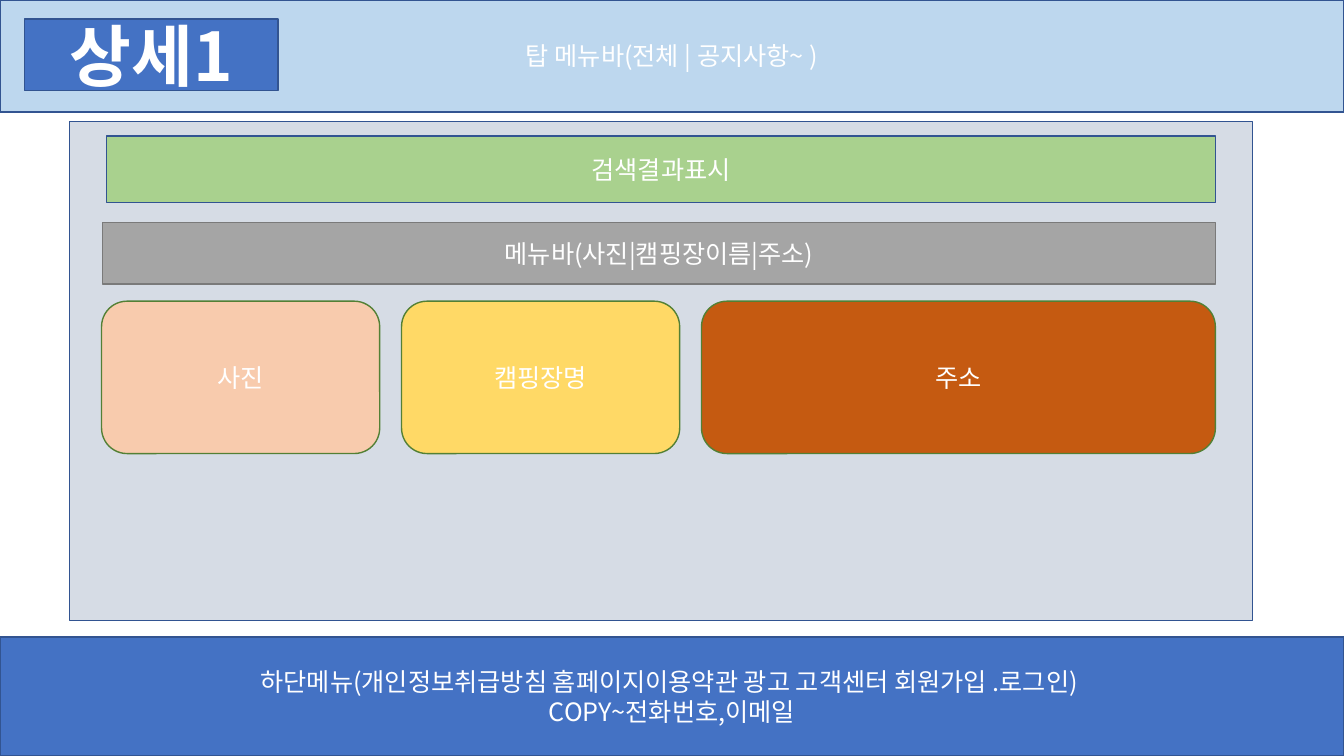
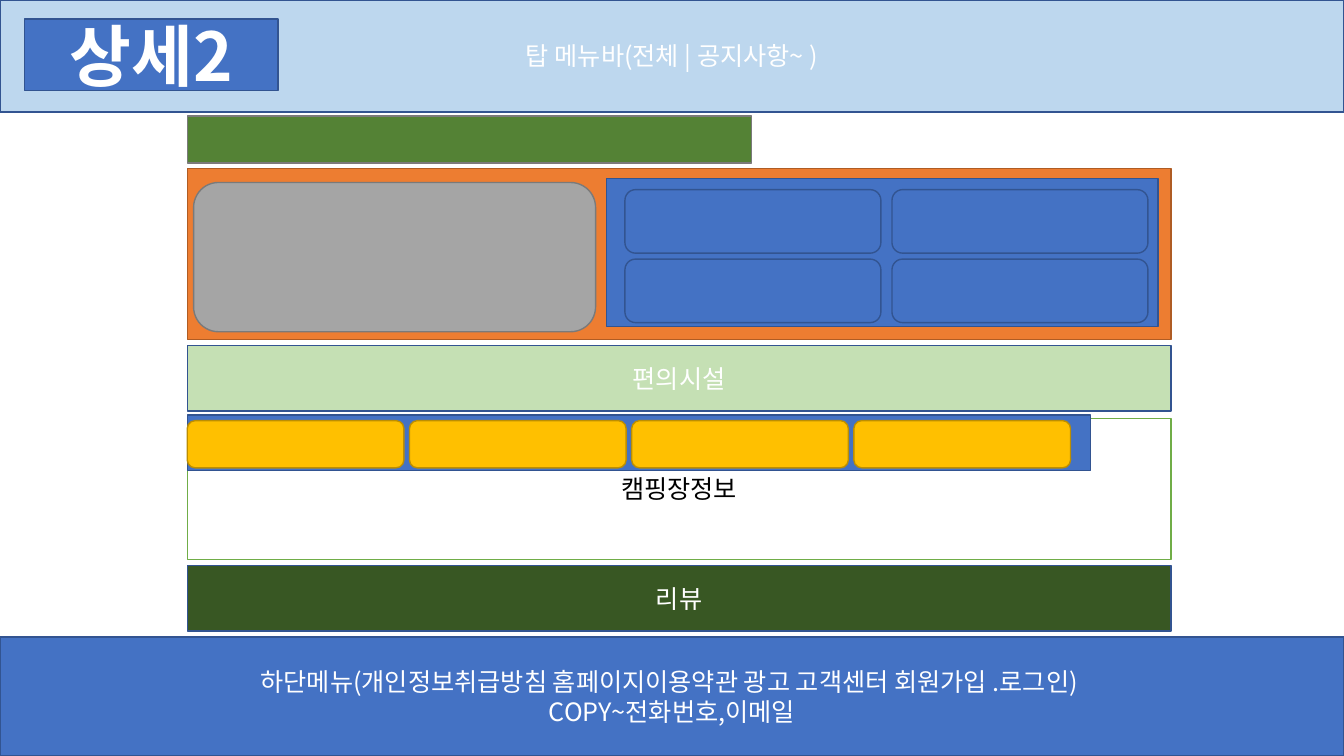
from lxml.etree import SubElement
from pptx import Presentation
from pptx.dml.color import RGBColor
from pptx.enum.shapes import MSO_SHAPE
from pptx.enum.text import MSO_ANCHOR, MSO_AUTO_SIZE, PP_ALIGN
from pptx.oxml.ns import qn
from pptx.util import Cm, Pt

COLORS = {
    "white": "FFFFFF", "black": "000000", "blue": "4472C4", "navy": "325491",
    "sky": "BDD7EE", "mist": "D6DCE5", "gray": "A5A5A5", "dark_gray": "7A7A7A",
    "green": "A9D18E", "pale_green": "C5E0B4", "leaf": "70AD47",
    "moss": "548235", "forest": "385723", "card_line": "538035",
    "peach": "F8CBAD", "yellow": "FFD966", "rust": "C55A11",
    "orange": "ED7D31", "brown": "AF5C24", "gold": "FFC000", "ochre": "BD8E00",
}
FONT = "Noto Sans CJK KR"
BODY = {"name": FONT, "size": Pt(18), "bold": False}
TITLE = {"name": FONT, "size": Pt(48), "bold": True}
FRAME = {"word_wrap": True, "auto_size": MSO_AUTO_SIZE.NONE,
         "vertical_anchor": MSO_ANCHOR.MIDDLE}
SLIDE_W, SLIDE_H = 33.87, 19.05
RECT, ROUND = MSO_SHAPE.RECTANGLE, MSO_SHAPE.ROUNDED_RECTANGLE

TOP_MENU = "탑 메뉴바(전체 | 공지사항~ )"
FOOTER = ("하단메뉴(개인정보취급방침 홈페이지이용약관 광고 고객센터 회원가입 .로그인) ",
          "COPY~전화번호,이메일")


def rgb(name):
    return RGBColor.from_string(COLORS[name])


def set_attrs(obj, values):
    for key, value in values.items():
        setattr(obj, key, value)


def paint(sp, fill, line):
    sp.fill.solid()
    sp.fill.fore_color.rgb = rgb(fill)
    sp.line.color.rgb = rgb(line)
    sp.line.width = Pt(1)


def write(sp, lines, fmt=BODY, color="white"):
    tf = sp.text_frame
    set_attrs(tf, FRAME)
    for i, text in enumerate(lines):
        p = tf.add_paragraph() if i else tf.paragraphs[0]
        p.alignment = PP_ALIGN.CENTER
        r = p.add_run()
        r.text = text
        set_attrs(r.font, fmt)
        r.font.color.rgb = rgb(color)
        SubElement(r.font._element, qn("a:ea"), typeface=FONT)


def add_box(shapes, at, fill, line="navy", lines=(), kind=RECT, color="white"):
    sp = shapes.add_shape(kind, *map(Cm, at))
    sp.shadow.inherit = False
    paint(sp, fill, line)
    write(sp, lines, color=color)
    return sp


def add_title(s, text):
    sp = s.shapes.title
    set_attrs(sp, {"left": Cm(0.61), "top": Cm(0.48),
                   "width": Cm(6.4), "height": Cm(1.8)})
    geom = SubElement(sp._element.spPr, qn("a:prstGeom"), prst="snip2DiagRect")
    SubElement(geom, qn("a:avLst"))
    paint(sp, "blue", "navy")
    write(sp, [text], TITLE)
    s.shapes._spTree.append(sp._element)


def add_page(prs, title):
    s = prs.slides.add_slide(prs.slide_layouts[5])
    add_box(s.shapes, (0, 0, SLIDE_W, 2.82), "sky", lines=[TOP_MENU])
    add_box(s.shapes, (0, 16.05, SLIDE_W, 3), "blue", lines=FOOTER)
    add_title(s, title)
    return s


def build_results(prs):
    shapes = add_page(prs, "상세1").shapes
    add_box(shapes, (1.75, 3.06, 29.82, 12.57), "mist")
    add_box(shapes, (2.59, 5.61, 28.04, 1.55), "gray", "dark_gray",
            ["메뉴바(사진|캠핑장이름|주소)"])
    add_box(shapes, (2.69, 3.43, 27.94, 1.68), "green", lines=["검색결과표시"])
    left, gap = 2.56, 0.55
    for text, width, fill in (("사진", 7.01, "peach"),
                              ("캠핑장명", 7.01, "yellow"),
                              ("주소", 12.95, "rust")):
        add_box(shapes, (left, 7.59, width, 3.84), fill, "card_line", [text], ROUND)
        left += width + gap


def add_overview(shapes, left, width):
    group = shapes.add_group_shape().shapes
    add_box(group, (left, 4.24, width, 4.32), "orange", "brown")
    add_box(group, (4.88, 4.6, 10.13, 3.76), "gray", "dark_gray", kind=ROUND)
    add_box(group, (15.29, 4.5, 13.89, 3.73), "blue")
    for i in range(4):
        row, col = divmod(i, 2)
        add_box(group, (15.75 + 6.73 * col, 4.78 + 1.75 * row, 6.45, 1.6),
                "blue", kind=ROUND)


def add_tags(shapes, left):
    group = shapes.add_group_shape().shapes
    add_box(group, (left, 10.46, 22.76, 1.4), "blue")
    for i in range(4):
        add_box(group, (left + 5.6 * i, 10.6, 5.46, 1.19), "gold", "ochre", kind=ROUND)


def build_campsite(prs):
    shapes = add_page(prs, "상세2").shapes
    left, width = 4.72, 24.79
    add_overview(shapes, left, width)
    add_box(shapes, (left, 2.92, 14.22, 1.19), "moss", "dark_gray")
    for text, top, height, fill, line, color in (
            ("편의시설", 8.71, 1.65, "pale_green", "navy", "white"),
            ("캠핑장정보", 10.54, 3.56, "white", "leaf", "black"),
            ("리뷰", 14.25, 1.65, "forest", "navy", "white")):
        add_box(shapes, (left, top, width, height), fill, line, [text], color=color)
    add_tags(shapes, left)


def main():
    prs = Presentation()
    set_attrs(prs, {"slide_width": Cm(SLIDE_W), "slide_height": Cm(SLIDE_H)})
    build_results(prs)
    build_campsite(prs)
    prs.save("out.pptx")


if __name__ == "__main__":
    main()
